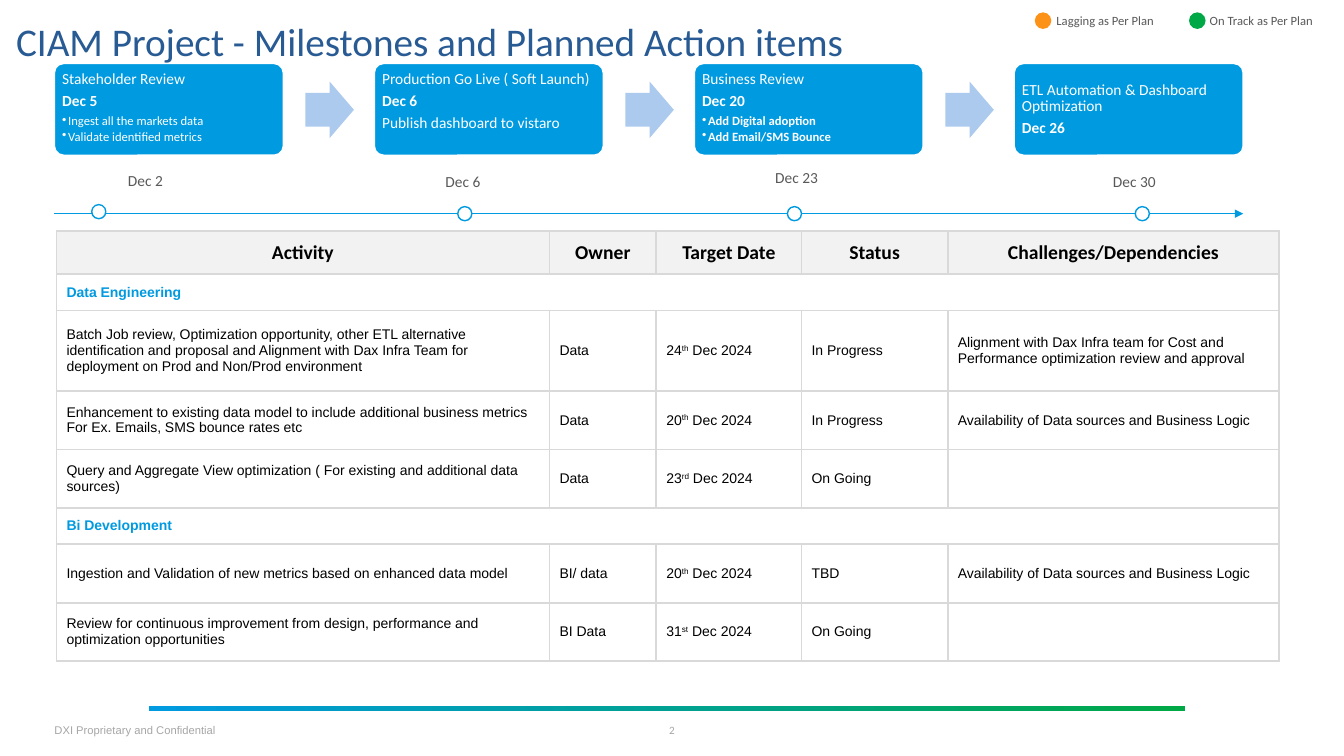
"""Build the milestone slide with its timeline and action table."""
import pptx
import pptx.util
import pptx.dml.color
import pptx.enum.shapes
import pptx.enum.text
import pptx.oxml
import pptx.oxml.ns
import lxml.etree

Inches = pptx.util.Inches
Pt = pptx.util.Pt
FORM = pptx.enum.shapes.MSO_SHAPE
ALIGN = pptx.enum.text.PP_ALIGN
ANCHOR = pptx.enum.text.MSO_ANCHOR
BLUE, GREEN, ORANGE = "009AE0", "00A846", "FC9318"
WHITE, BLACK, GRAY, PALE = "FFFFFF", "000000", "595959", "A6A6A6"
STEP = 9.52 / 3

CARDS = [
    [("Stakeholder Review", "text"), ("Dec 5", "date"),
     ("Ingest all the markets data", "item"), ("Validate identified metrics", "item")],
    [("Production Go Live ( Soft Launch)", "text"), ("Dec 6", "date"),
     ("Publish dashboard to vistaro", "text")],
    [("Business Review", "text"), ("Dec 20", "date"),
     ("Add Digital adoption", "bold item"), ("Add Email/SMS Bounce", "bold item")],
    [("ETL Automation & Dashboard Optimization", "text"), ("Dec 26", "date")],
]
DATES = [
    ("Dec 2", 0.91, 2.03, 1.17, 1.65, 0.55),
    ("Dec 6", 4.54, 2.05, 4.32, 1.66, 0.55),
    ("Dec 23", 7.81, 2.05, 7.59, 1.62, 0.63),
    ("Dec 30", 11.26, 2.05, 10.94, 1.66, 0.63),
]
WIDTHS = [4.89, 1.06, 1.44, 1.45, 3.29]
HEIGHTS = [0.43, 0.36, 0.8, 0.58, 0.58, 0.36, 0.58, 0.58]
ROWS = [
    ["Activity", "Owner", "Target Date", "Status", "Challenges/Dependencies"],
    ["Data Engineering"],
    ["Batch Job review, Optimization opportunity, other ETL alternative identification "
     "and proposal and Alignment with Dax Infra Team for deployment on Prod and "
     "Non/Prod environment", "Data", "24th Dec 2024", "In Progress",
     "Alignment with Dax Infra team for Cost and Performance optimization review and approval"],
    ["Enhancement to existing data model to include additional business metrics "
     "For Ex. Emails, SMS bounce rates etc", "Data", "20th Dec 2024", "In Progress",
     "Availability of Data sources and Business Logic"],
    ["Query and Aggregate View optimization ( For existing and additional data sources)",
     "Data", "23rd Dec 2024", "On Going", ""],
    ["Bi Development"],
    ["Ingestion and Validation of new metrics based on enhanced data model",
     "BI/ data", "20th Dec 2024", "TBD", "Availability of Data sources and Business Logic"],
    ["Review for continuous improvement from design, performance and optimization "
     "opportunities", "BI Data", "31st Dec 2024", "On Going", ""],
]


def tint(code):
    return pptx.dml.color.RGBColor.from_string(code)


def paint(fill, code):
    fill.solid()
    fill.fore_color.rgb = tint(code)


def style(para, size, code, face="Calibri", bold=False):
    para.font.size = Pt(size)
    para.font.name = face
    para.font.bold = bold
    para.font.color.rgb = tint(code)


def inset(frame, left, top, right, base):
    frame.margin_left, frame.margin_top = Inches(left), Inches(top)
    frame.margin_right, frame.margin_bottom = Inches(right), Inches(base)


def add_form(slide, kind, box, code, edge=None):
    form = slide.shapes.add_shape(kind, *map(Inches, box))
    form.shadow.inherit = False
    paint(form.fill, code)
    if edge:
        paint(form.line.fill, edge)
        form.line.width = Pt(1)
    else:
        form.line.fill.background()
    return form


def add_text(slide, text, box, size, code, face="Calibri", wrap=True):
    frame = slide.shapes.add_textbox(*map(Inches, box)).text_frame
    frame.word_wrap = wrap
    frame.text = text
    style(frame.paragraphs[0], size, code, face)
    return frame


def add_note(slide, text, box, face, align):
    frame = add_text(slide, text, box, 8, PALE, face)
    inset(frame, 0, 0, 0, 0)
    frame.vertical_anchor = ANCHOR.MIDDLE
    frame.paragraphs[0].alignment = align


def add_dot(para):
    props = para._p.get_or_add_pPr()
    props.set("marL", str(Inches(0.06)))
    props.set("indent", str(Inches(-0.06)))
    dot = pptx.oxml.parse_xml(
        f'<a:buChar {pptx.oxml.ns.nsdecls("a")} char="•"/>')
    props.insert_element_before(dot, "a:tabLst", "a:defRPr", "a:extLst")


def add_card(slide, left, lines, anchor):
    card = add_form(slide, FORM.ROUNDED_RECTANGLE, (left, 0.63, 2.27, 0.91), BLUE, WHITE)
    card.adjustments[0] = 0.1
    frame = card.text_frame
    frame.word_wrap = True
    frame.vertical_anchor = anchor
    inset(frame, 0.05, 0.05, 0.05, 0.05)
    for num, (text, role) in enumerate(lines):
        para = frame.add_paragraph() if num else frame.paragraphs[0]
        para.text = text
        para.alignment = ALIGN.LEFT
        para.line_spacing = 0.9
        item = "item" in role
        para.space_after = Pt(1.4 if item else 3.8)
        style(para, 9 if item else 11, WHITE, bold=role in ("date", "bold item"))
        if item:
            add_dot(para)


def add_line(slide):
    line = slide.shapes.add_connector(
        pptx.enum.shapes.MSO_CONNECTOR.STRAIGHT,
        Inches(0.54), Inches(2.12), Inches(12.33), Inches(2.12))
    paint(line.line.fill, BLUE)
    line.line.width = Pt(0.5)
    head = lxml.etree.SubElement(line.line._get_or_add_ln(), pptx.oxml.ns.qn("a:tailEnd"))
    head.set("type", "triangle")
    lxml.etree.SubElement(line._element.spPr, pptx.oxml.ns.qn("a:effectLst"))


def add_edge(cell):
    props = cell._tc.get_or_add_tcPr()
    for side in ("lnL", "lnR", "lnT", "lnB"):
        props.append(pptx.oxml.parse_xml(
            f'<a:{side} {pptx.oxml.ns.nsdecls("a")} w="{Pt(1.5)}"><a:solidFill>'
            f'<a:srgbClr val="D9D9D9"/></a:solidFill></a:{side}>'))


def fill_cell(cell, text, head, group, date):
    cell.vertical_anchor = ANCHOR.MIDDLE
    para = cell.text_frame.paragraphs[0]
    if date:
        for part in (text[:2], text[2:4], text[4:]):
            run = para.add_run()
            run.text = part
        para.runs[1].font._element.set("baseline", "30000")
    elif text:
        para.text = text
    if head:
        para.alignment = ALIGN.CENTER
        style(para, 14, BLACK, bold=True)
    else:
        style(para, 10, BLUE if group else BLACK, "Arial", group)


def add_plan(slide):
    table = slide.shapes.add_table(
        len(ROWS), len(WIDTHS), Inches(0.56), Inches(2.29),
        Inches(sum(WIDTHS)), Inches(sum(HEIGHTS))).table
    table.first_row = table.horz_banding = False
    for col, width in zip(table.columns, WIDTHS):
        col.width = Inches(width)
    for num, (row, height, texts) in enumerate(zip(table.rows, HEIGHTS, ROWS)):
        row.height = Inches(height)
        group = len(texts) == 1
        for cell in row.cells:
            add_edge(cell)
            paint(cell.fill, WHITE if num else "F2F2F2")
        if group:
            table.cell(num, 0).merge(table.cell(num, len(WIDTHS) - 1))
        for col, text in enumerate(texts):
            fill_cell(table.cell(num, col), text, num == 0, group, num and col == 2)


def add_title(slide):
    title = slide.shapes.title
    title.left, title.top = Inches(0.16), Inches(0.09)
    title.width, title.height = Inches(12.61), Inches(0.51)
    frame = title.text_frame
    frame.text = "CIAM Project - Milestones and Planned Action items"
    frame.vertical_anchor = ANCHOR.MIDDLE
    inset(frame, 0, 0.2, 0, 0)
    para = frame.paragraphs[0]
    para.alignment = ALIGN.LEFT
    para.line_spacing = 0.8
    style(para, 28, "285A93")


def add_base(slide):
    bar = add_form(slide, FORM.RECTANGLE, (1.48, 7, 10.27, 0.05), BLUE)
    bar.fill.gradient()
    bar.fill.gradient_angle = 0
    for stop, code, place in zip(bar.fill.gradient_stops, (BLUE, GREEN), (0, 1)):
        stop.color.rgb = tint(code)
        stop.position = place
    add_note(slide, "2", (6.48, 7.13, 0.37, 0.23), "Calibri", ALIGN.CENTER)
    add_note(slide, "DXI Proprietary and Confidential", (0.54, 7.13, 1.8, 0.23),
             "Arial", ALIGN.LEFT)


def main():
    deck = pptx.Presentation()
    deck.slide_width, deck.slide_height = Inches(13.33), Inches(7.5)
    slide = deck.slides.add_slide(deck.slide_layouts[5])
    add_title(slide)
    add_base(slide)
    for text, code, left, start in (("Lagging as Per Plan", ORANGE, 10.27, 10.38),
                                    ("On Track as Per Plan", GREEN, 11.8, 11.9)):
        add_form(slide, FORM.FLOWCHART_CONNECTOR, (left, 0.13, 0.15, 0.15), code, code)
        add_text(slide, text, (start, 0.08, 1.27, 0.25), 9, GRAY)
    for num, lines in enumerate(CARDS):
        last = num == len(CARDS) - 1
        add_card(slide, 0.54 + num * STEP, lines, ANCHOR.MIDDLE if last else ANCHOR.TOP)
        if not last:
            arrow = add_form(slide, FORM.RIGHT_ARROW,
                             (3.03 + num * STEP, 0.81, 0.48, 0.56), "ABCAED")
            arrow.adjustments[0] = 0.6
    add_line(slide)
    for text, left, top, start, high, width in DATES:
        add_form(slide, FORM.OVAL, (left, top, 0.14, 0.14), WHITE, BLUE)
        add_text(slide, text, (start, high, width, 0.29), 11, GRAY, wrap=False)
    add_plan(slide)
    deck.save("out.pptx")


if __name__ == "__main__":
    main()
